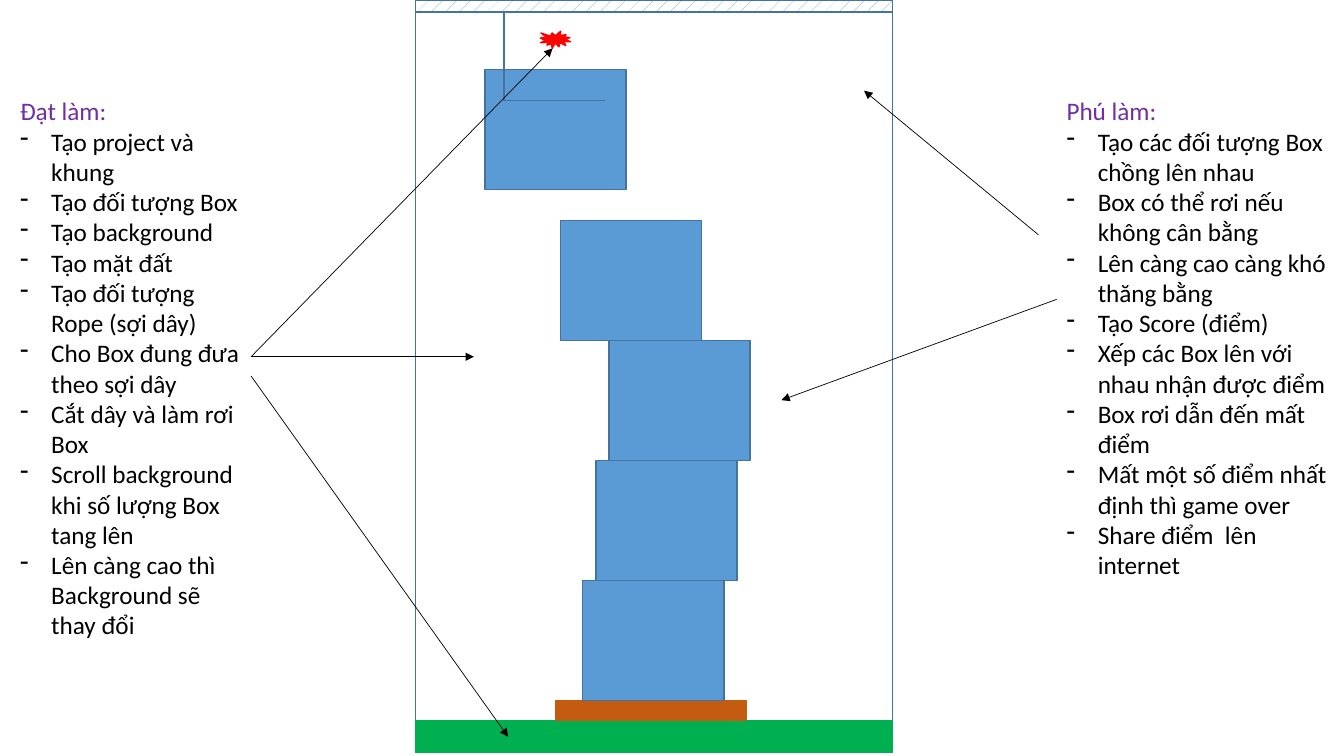
"""Builds the task-sharing slide for a box-stacking game."""
from dataclasses import dataclass

import pptx
import pptx.dml.color
import pptx.enum.dml
import pptx.enum.shapes
import pptx.enum.text
import pptx.oxml.ns
import pptx.util
from lxml import etree
from pptx.util import Inches

SHAPES = pptx.enum.shapes.MSO_SHAPE


@dataclass(frozen=True)
class Theme:
    font: str = "Calibri"
    text_size: float = 18
    outline_width: float = 1
    arrow_width: float = 0.5
    text: str = "000000"
    heading: str = "7030A0"
    box: str = "5B9BD5"
    outline: str = "43739E"
    ground: str = "00B050"
    base: str = "C55A11"
    cut: str = "FF0000"
    paper: str = "FFFFFF"


def rgb(color):
    return pptx.dml.color.RGBColor.from_string(color)


def add_xml(parent, tag, **attributes):
    return etree.SubElement(parent, pptx.oxml.ns.qn(tag), attributes)


def curve_points(start, curves, steps=16):
    points = [start]
    for first, second, end in curves:
        origin = points[-1]
        for step in range(1, steps + 1):
            t = step / steps
            u = 1 - t
            points.append(tuple(
                u**3 * a + 3 * u**2 * t * b + 3 * u * t**2 * c + t**3 * d
                for a, b, c, d in zip(origin, first, second, end)))
    return points


class SlideBuilder:
    def __init__(self, slide, theme):
        self.slide = slide
        self.theme = theme

    def style(self, shape, fill, outline):
        shape.shadow.inherit = False
        if fill:
            shape.fill.solid()
            shape.fill.fore_color.rgb = rgb(fill)
        else:
            shape.fill.background()
        shape.line.color.rgb = rgb(outline)
        shape.line.width = pptx.util.Pt(self.theme.outline_width)

    def block(self, left, top, width, height, fill=None, outline=None, kind=SHAPES.RECTANGLE):
        shape = self.slide.shapes.add_shape(
            kind, Inches(left), Inches(top), Inches(width), Inches(height))
        self.style(shape, fill, outline or self.theme.outline)
        return shape

    def ceiling(self, left, top, width, height):
        shape = self.block(left, top, width, height)
        shape.fill.patterned()
        shape.fill.pattern = pptx.enum.dml.MSO_PATTERN.PERCENT_5
        shape.fill.fore_color.rgb = rgb(self.theme.box)
        shape.fill.back_color.rgb = rgb(self.theme.paper)

    def curve(self, start, curves):
        points = curve_points(start, curves)
        builder = self.slide.shapes.build_freeform(*points[0], scale=Inches(1))
        builder.add_line_segments(points[1:], close=False)
        self.style(builder.convert_to_shape(), None, self.theme.outline)

    def arrow(self, start, end):
        connector = self.slide.shapes.add_connector(
            pptx.enum.shapes.MSO_CONNECTOR.STRAIGHT,
            *(Inches(value) for value in (*start, *end)))
        connector.line.color.rgb = rgb(self.theme.text)
        connector.line.width = pptx.util.Pt(self.theme.arrow_width)
        add_xml(connector.line._get_or_add_ln(), "a:tailEnd", type="triangle")
        add_xml(connector._element.spPr, "a:effectLst")

    def task_list(self, left, top, width, height, heading, tasks):
        text_box = self.slide.shapes.add_textbox(
            Inches(left), Inches(top), Inches(width), Inches(height))
        frame = text_box.text_frame
        frame.word_wrap = True
        frame.auto_size = pptx.enum.text.MSO_AUTO_SIZE.SHAPE_TO_FIT_TEXT
        frame.text = "\n".join([heading, *tasks])
        for index, paragraph in enumerate(frame.paragraphs):
            paragraph.font.name = self.theme.font
            paragraph.font.size = pptx.util.Pt(self.theme.text_size)
            paragraph.font.color.rgb = rgb(self.theme.text if index else self.theme.heading)
            if index:
                self.bullet(paragraph)

    def bullet(self, paragraph):
        properties = paragraph._p.get_or_add_pPr()
        indent = Inches(0.31)
        properties.set("marL", str(indent))
        properties.set("indent", str(-indent))
        mark = add_xml(properties, "a:buChar", char="-")
        properties.insert(0, mark)
        font = add_xml(properties, "a:buFontTx")
        properties.insert(0, font)


DAT_TASKS = [
    "Tạo project và khung",
    "Tạo đối tượng Box",
    "Tạo background",
    "Tạo mặt đất",
    "Tạo đối tượng Rope (sợi dây)",
    "Cho Box đung đưa theo sợi dây",
    "Cắt dây và làm rơi Box",
    "Scroll background khi số lượng Box tang lên",
    "Lên càng cao thì Background sẽ thay đổi",
]
PHU_TASKS = [
    "Tạo các đối tượng Box chồng lên nhau",
    "Box có thể rơi nếu không cân bằng",
    "Lên càng cao càng khó thăng bằng",
    "Tạo Score (điểm)",
    "Xếp các Box lên với nhau nhận được điểm",
    "Box rơi dẫn đến mất điểm",
    "Mất một số điểm nhất định thì game over",
    "Share điểm  lên internet",
]
FRAME_LEFT, FRAME_WIDTH, FRAME_HEIGHT = 4.12, 4.73, 7.46
GROUND_TOP, BASE_TOP = 7.15, 6.95
BOX_WIDTH, BOX_HEIGHT = 1.4, 1.19
STACK_LEFTS = [5.78, 5.91, 6.04, 5.56]
ROPE_START = (5.52, 0.7)
ROPE_CURVES = [
    ((5.48, 0.56), (5.44, 0.43), (5.58, 0.31)),
    ((5.73, 0.2), (6.26, 0.07), (6.4, 0.01)),
    ((6.54, -0.04), (6.49, -0.02), (6.43, 0)),
]
ARROWS = [
    ((2.49, 3.73), (5.04, 7.31)),
    ((2.49, 3.54), (5.48, 0.48)),
    ((2.49, 3.54), (4.7, 3.54)),
    ((10.48, 2.97), (7.75, 3.97)),
    ((10.3, 2.33), (8.57, 0.9)),
]

presentation = pptx.Presentation()
presentation.slide_width = Inches(13.33)
presentation.slide_height = Inches(7.5)
theme = Theme()
builder = SlideBuilder(presentation.slides.add_slide(presentation.slide_layouts[6]), theme)

builder.block(FRAME_LEFT, 0, FRAME_WIDTH, FRAME_HEIGHT)
builder.block(FRAME_LEFT, GROUND_TOP, FRAME_WIDTH, FRAME_HEIGHT - GROUND_TOP,
              theme.ground, theme.ground)
builder.block(5.51, BASE_TOP, 1.89, GROUND_TOP - BASE_TOP, theme.base, theme.base)
for level, box_left in enumerate(STACK_LEFTS, start=1):
    builder.block(box_left, BASE_TOP - level * BOX_HEIGHT, BOX_WIDTH, BOX_HEIGHT, theme.box)
builder.block(4.81, 0.69, BOX_WIDTH, BOX_HEIGHT, theme.box)
builder.curve(ROPE_START, ROPE_CURVES)
builder.ceiling(FRAME_LEFT, 0, FRAME_WIDTH, 0.12)
builder.block(5.36, 0.31, 0.3, 0.17, theme.cut, theme.cut, SHAPES.EXPLOSION1)
for arrow_start, arrow_end in ARROWS:
    builder.arrow(arrow_start, arrow_end)
builder.task_list(0.1, 0.9, 2.39, 5.55, "Đạt làm:", DAT_TASKS)
builder.task_list(10.48, 0.9, 2.86, 4.95, "Phú làm:", PHU_TASKS)

presentation.save("out.pptx")
